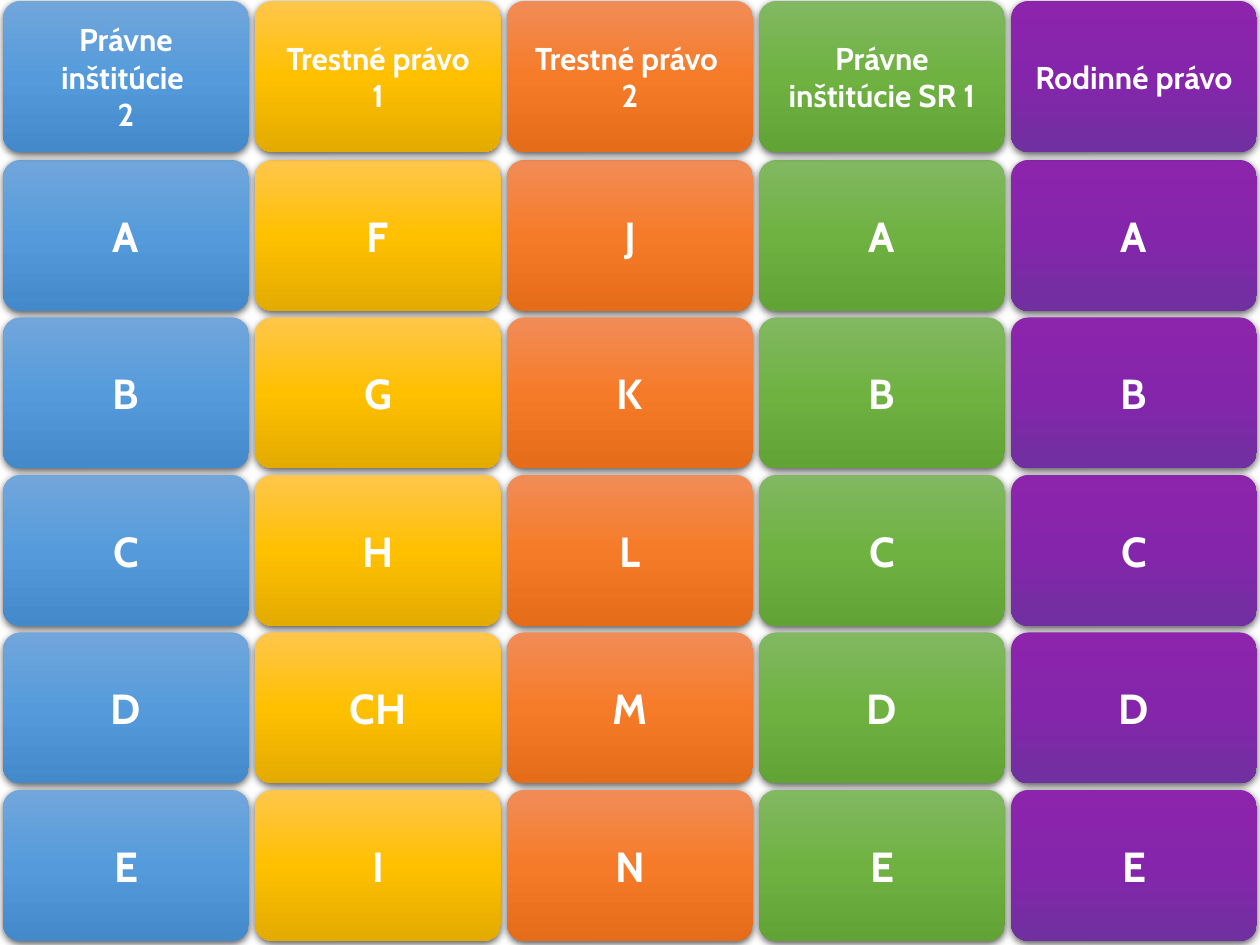
import copy
import dataclasses

import pptx
import pptx.dml.color
import pptx.enum.shapes
import pptx.enum.text
import pptx.oxml
import pptx.oxml.ns
import pptx.util

SCALE = 914400 / 126  # EMU per px


def px(n: float) -> int:
    return round(n * SCALE)


@dataclasses.dataclass(frozen=True)
class Theme:
    font: str = "Cabin"
    text: str = "FFFFFF"
    shade: str = "000000"
    head: int = 18
    cell: int = 24
    blue: tuple = ("71A6DB", "559BDB", "448ACA")
    gold: tuple = ("FFC64B", "FFC000", "E3AB00")
    orange: tuple = ("F18C57", "F67B28", "E56C19")
    green: tuple = ("81B861", "6FB242", "62A336")
    purple: tuple = ("8C24AC", "8525AB", "7030A0")


@dataclasses.dataclass(frozen=True)
class Column:
    title: str
    cells: tuple
    tones: tuple


THEME = Theme()
LEFT, STEP = 3, 252
TOP, FIRST, PITCH = 1, 160, 157.5
WIDTH, HEIGHT = 246, 151

COLUMNS = (
    Column("Právne inštitúcie \n2", tuple("ABCDE"), THEME.blue),
    Column("Trestné právo\n1", ("F", "G", "H", "CH", "I"), THEME.gold),
    Column("Trestné právo \n2", tuple("JKLMN"), THEME.orange),
    Column("Právne inštitúcie SR 1", tuple("ABCDE"), THEME.green),
    Column("Rodinné právo", tuple("ABCDE"), THEME.purple),
)


def color(code: str) -> pptx.dml.color.RGBColor:
    return pptx.dml.color.RGBColor.from_string(code)


def paint(shape, tones: tuple) -> None:
    """Fill from top to bottom with three evenly spaced tones."""
    fill = shape.fill
    fill.gradient()
    fill.gradient_angle = 270
    stops = shape._element.spPr.find(".//" + pptx.oxml.ns.qn("a:gsLst"))
    stops.append(copy.deepcopy(stops[0]))
    for i, (stop, tone) in enumerate(zip(fill.gradient_stops, tones)):
        stop.position = i / 2
        stop.color.rgb = color(tone)


def shade(shape) -> None:
    """Cast a soft shadow straight down."""
    shape.shadow.inherit = False
    effect = shape._element.spPr.find(pptx.oxml.ns.qn("a:effectLst"))
    effect.append(pptx.oxml.parse_xml(
        f'<a:outerShdw {pptx.oxml.ns.nsdecls("a")} blurRad="57150" dist="19050"'
        ' dir="5400000" algn="ctr" rotWithShape="0">'
        f'<a:srgbClr val="{THEME.shade}"><a:alpha val="63000"/></a:srgbClr>'
        '</a:outerShdw>'))


def tile(slide, x: float, y: float, text: str, size: int, tones: tuple) -> None:
    shape = slide.shapes.add_shape(
        pptx.enum.shapes.MSO_SHAPE.ROUNDED_RECTANGLE,
        px(x), px(y), px(WIDTH), px(HEIGHT))
    shape.adjustments[0] = 0.115
    paint(shape, tones)
    shape.line.fill.background()
    shade(shape)

    # Centred label, one paragraph per line
    frame = shape.text_frame
    frame.word_wrap = True
    frame.vertical_anchor = pptx.enum.text.MSO_ANCHOR.MIDDLE
    frame.text = text
    style = {"name": THEME.font, "size": pptx.util.Pt(size), "bold": True}
    for para in frame.paragraphs:
        para.alignment = pptx.enum.text.PP_ALIGN.CENTER
        for run in para.runs:
            for key, value in style.items():
                setattr(run.font, key, value)
            run.font.color.rgb = color(THEME.text)


def main() -> None:
    deck = pptx.Presentation()
    deck.slide_width, deck.slide_height = px(1260), px(945)
    slide = deck.slides.add_slide(deck.slide_layouts[6])

    # Each column: answer tiles, then its heading
    for i, column in enumerate(COLUMNS):
        x = LEFT + i * STEP
        for j, text in enumerate(column.cells):
            tile(slide, x, FIRST + j * PITCH, text, THEME.cell, column.tones)
        tile(slide, x, TOP, column.title, THEME.head, column.tones)

    deck.save("out.pptx")


if __name__ == "__main__":
    main()
